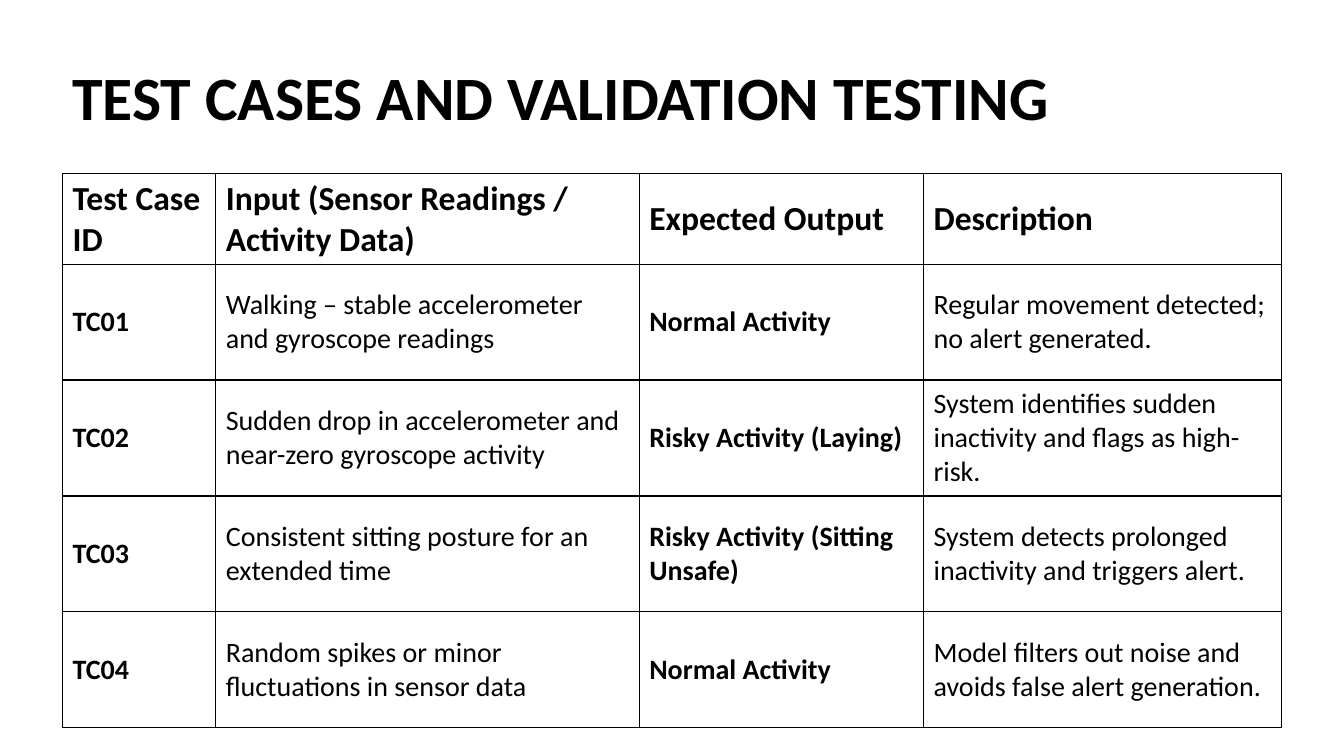
import pptx
import pptx.dml.color
import pptx.enum.text
import pptx.oxml
import pptx.oxml.ns
import pptx.util
from pptx.util import Inches

BLACK = "000000"
COLUMN_WIDTHS = [1.52, 4.2, 2.82, 3.55]
HEADER_HEIGHT, CASE_HEIGHT = 0.8, 1.15
BOLD_COLUMNS = (0, 2)
ROWS = [
    ["Test Case ID", "Input (Sensor Readings / Activity Data)",
     "Expected Output", "Description"],
    ["TC01", "Walking – stable accelerometer and gyroscope readings",
     "Normal Activity", "Regular movement detected; no alert generated."],
    ["TC02", "Sudden drop in accelerometer and near-zero gyroscope activity",
     "Risky Activity (Laying)",
     "System identifies sudden inactivity and flags as high-risk."],
    ["TC03", "Consistent sitting posture for an extended time",
     "Risky Activity (Sitting Unsafe)",
     "System detects prolonged inactivity and triggers alert."],
    ["TC04", "Random spikes or minor fluctuations in sensor data",
     "Normal Activity",
     "Model filters out noise and avoids false alert generation."],
]


def write_text(frame, text, size, bold=False, color=BLACK, line_spacing=None):
    frame.word_wrap = True
    frame.vertical_anchor = pptx.enum.text.MSO_ANCHOR.MIDDLE
    paragraph = frame.paragraphs[0]
    paragraph.line_spacing = line_spacing
    run = paragraph.add_run()
    run.text = text
    run.font.name = "Calibri"
    run.font.size = pptx.util.Pt(size)
    run.font.bold = bold
    run.font.color.rgb = pptx.dml.color.RGBColor.from_string(color)


def add_borders(cell, color=BLACK, points=1):
    properties = cell._tc.get_or_add_tcPr()
    for side in ("lnL", "lnR", "lnT", "lnB"):
        properties.append(pptx.oxml.parse_xml(
            f'<a:{side} {pptx.oxml.ns.nsdecls("a")} w="{pptx.util.Pt(points)}">'
            f'<a:solidFill><a:srgbClr val="{color}"/></a:solidFill></a:{side}>'))


presentation = pptx.Presentation()
presentation.slide_width = Inches(13.33)
presentation.slide_height = Inches(7.5)
slide = presentation.slides.add_slide(presentation.slide_layouts[6])

title = slide.shapes.add_textbox(Inches(0.62), Inches(0.27), Inches(11.5), Inches(1.45))
write_text(title.text_frame, "TEST CASES AND VALIDATION TESTING",
           size=44, bold=True, line_spacing=0.9)

table_height = HEADER_HEIGHT + CASE_HEIGHT * (len(ROWS) - 1)
table = slide.shapes.add_table(
    len(ROWS), len(COLUMN_WIDTHS), Inches(0.62), Inches(1.72),
    Inches(sum(COLUMN_WIDTHS)), Inches(table_height)).table
table.first_row = False
table.horz_banding = False

for column, width in zip(table.columns, COLUMN_WIDTHS):
    column.width = Inches(width)

for row_index, texts in enumerate(ROWS):
    is_header = row_index == 0
    table.rows[row_index].height = Inches(HEADER_HEIGHT if is_header else CASE_HEIGHT)
    for column_index, text in enumerate(texts):
        cell = table.cell(row_index, column_index)
        add_borders(cell)
        cell.fill.background()
        write_text(cell.text_frame, text, size=24 if is_header else 20,
                   bold=is_header or column_index in BOLD_COLUMNS)
        cell.vertical_anchor = pptx.enum.text.MSO_ANCHOR.MIDDLE

presentation.save("out.pptx")
